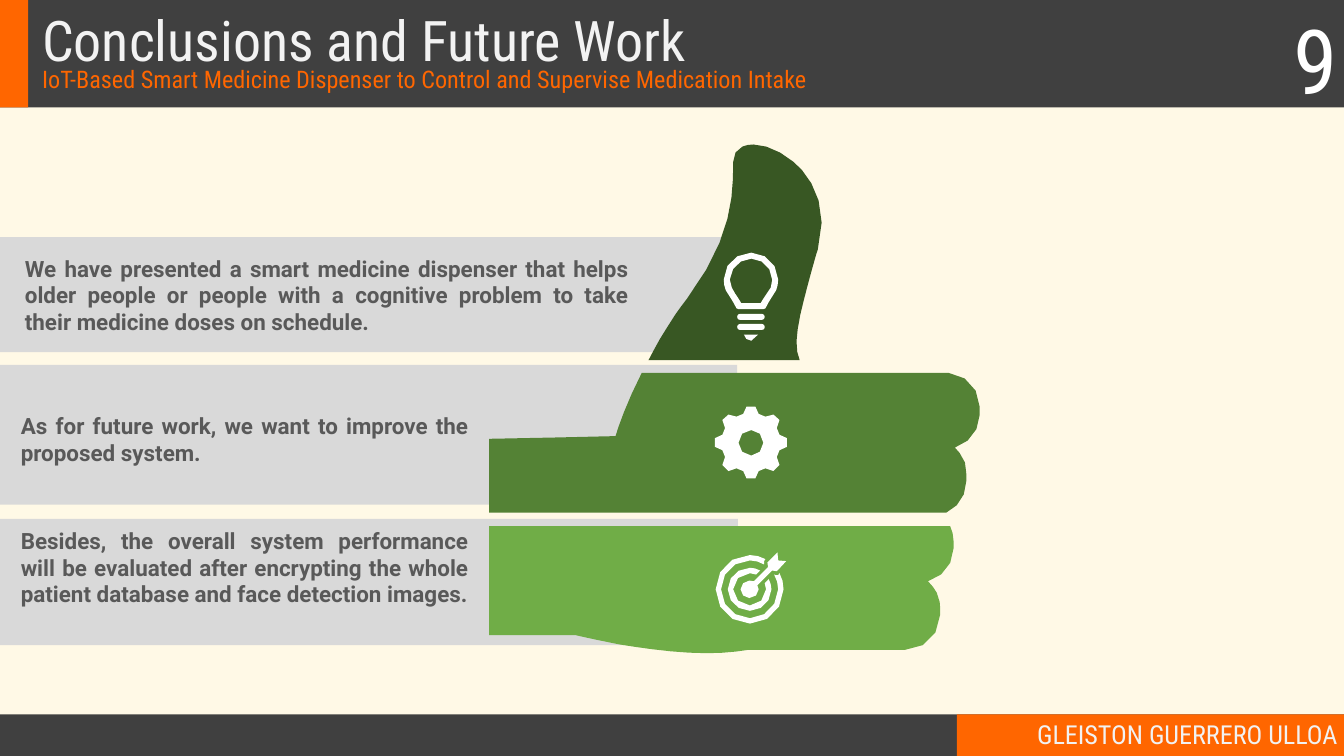
from dataclasses import dataclass
from math import dist, sqrt

from pptx import Presentation
from pptx.dml.color import RGBColor
from pptx.enum.shapes import MSO_SHAPE
from pptx.enum.text import MSO_ANCHOR, MSO_AUTO_SIZE, PP_ALIGN
from pptx.util import Inches, Pt


@dataclass(frozen=True)
class Theme:
    """Colours, fonts and type sizes of the slide."""
    cream: str = "FFF9E6"
    dark: str = "404040"
    orange: str = "FF6600"
    band: str = "D9D9D9"
    thumb: str = "385723"
    upper_fist: str = "548235"
    lower_fist: str = "70AD47"
    white: str = "FFFFFF"
    light: str = "F2F2F2"
    body: str = "595959"
    heading_font: str = "Roboto Condensed"
    body_font: str = "Roboto"
    title_size: float = 60
    subtitle_size: float = 25.9
    author_size: float = 28
    number_size: float = 96
    body_size: float = 24


THEME = Theme()
CURVE_DETAIL = 4

THUMB = ["11.9 5.36, 11.85 5.25 11.84 5.09 11.87 4.9, 11.91 4.68, 11.97 4.42 12.05 4.12 12.15 3.77,"
         "12.17 3.71, 12.37 2.99 11.99 2.56 11.81 2.41, 11.62 2.25 11.39 2.15 11.21 2.15,"
         "11.15 2.15 11.1 2.16 11.05 2.18, 10.96 2.22 10.91 2.3 10.91 2.41,"
         "10.91 2.88 10.91 3.53 10.22 4.45, 10.16 4.52 10.11 4.6 10.05 4.68, 9.91 4.9,"
         "9.81 5.05 9.73 5.21 9.65 5.36"]
UPPER_FIST = ["9.16 6.49, 8.29 6.51, 7.28 6.53, 7.28 7.63, 14.08 7.63,"
              "14.26 7.55 14.38 7.37 14.38 7.16, 14.38 7.05, 14.38 7.02 14.38 6.99 14.37 6.96,"
              "14.37 6.96 14.37 6.82 14.28 6.74, 14.26 6.71 14.23 6.68 14.21 6.66,"
              "14.42 6.6 14.58 6.4 14.58 6.17, 14.58 6.06, 14.58 5.79 14.38 5.57 14.12 5.55,"
              "9.55 5.55, 9.33 5.98 9.2 6.35 9.16 6.49"]
LOWER_FIST = ["7.28 7.83, 7.28 9.45, 8.56 9.45, 8.6 9.46 8.86 9.52 9.22 9.59,"
              "9.59 9.65 10.07 9.72 10.52 9.72, 10.75 9.72 10.96 9.7 11.14 9.67, 13.47 9.67,"
              "13.76 9.67 13.99 9.44 13.99 9.15, 13.99 9.04, 13.99 9.04 13.99 8.9 13.94 8.82,"
              "13.91 8.76 13.86 8.7 13.81 8.65, 14.03 8.59 14.19 8.39 14.19 8.16, 14.19 8.05,"
              "14.19 7.97 14.17 7.9 14.14 7.83"]
BULB_TIP = ["11.07 4.98, 11.08 5.03 11.12 5.07 11.18 5.07, 11.23 5.07 11.27 5.03 11.28 4.98"]
BULB_GLASS = ["11.18 3.76, 10.95 3.76 10.77 3.94 10.77 4.16, 10.77 4.22 10.78 4.27 10.8 4.32,"
              "10.81 4.36 10.84 4.4 10.87 4.43, 10.9 4.47 10.94 4.55 10.96 4.59,"
              "10.99 4.6, 11.36 4.6, 11.39 4.59,"
              "11.41 4.55 11.45 4.47 11.48 4.43, 11.51 4.4 11.54 4.36 11.55 4.32,"
              "11.57 4.27 11.58 4.22 11.58 4.16, 11.58 3.94 11.4 3.76 11.18 3.76",
              "11.49 4.17, 11.49 4.21 11.48 4.25 11.47 4.28, 11.45 4.31 11.44 4.34 11.41 4.37,"
              "11.38 4.41 11.35 4.46 11.32 4.51, 11.03 4.51, 11 4.46 10.97 4.41 10.94 4.37,"
              "10.92 4.34 10.9 4.31 10.89 4.28, 10.87 4.25 10.86 4.21 10.86 4.16,"
              "10.87 3.99 11.01 3.85 11.18 3.85, 11.35 3.85 11.49 3.99 11.49 4.16"]
GEAR = ["11.18 6.78, 11.07 6.78 10.99 6.69 10.99 6.59, 10.99 6.48 11.07 6.4 11.18 6.4,"
        "11.28 6.4 11.36 6.48 11.36 6.59, 11.36 6.69 11.28 6.78 11.18 6.78",
        "11.6 6.47, 11.56 6.37, 11.6 6.25, 11.51 6.17, 11.39 6.2, 11.29 6.16, 11.24 6.05,"
        "11.11 6.05, 11.06 6.16, 10.96 6.2, 10.84 6.17, 10.75 6.25, 10.79 6.37, 10.75 6.47,"
        "10.64 6.52, 10.64 6.65, 10.75 6.7, 10.79 6.8, 10.75 6.92, 10.84 7.01, 10.96 6.97,"
        "11.06 7.01, 11.11 7.12, 11.24 7.12, 11.29 7.01, 11.39 6.97, 11.51 7.01, 11.6 6.92,"
        "11.56 6.8, 11.6 6.7, 11.71 6.65, 11.71 6.52"]
ARROW = ["11.58 8.34, 11.57 8.22, 11.42 8.37, 11.43 8.44, 11.22 8.65, 11.2 8.64 11.18 8.64 11.15 8.64,"
         "11.08 8.64 11.02 8.7 11.02 8.77, 11.02 8.84 11.08 8.9 11.15 8.9,"
         "11.23 8.9 11.29 8.84 11.29 8.77, 11.29 8.75 11.28 8.73 11.27 8.71,"
         "11.49 8.49, 11.56 8.5, 11.7 8.35"]
OUTER_RING = ["11.59 8.54, 11.58 8.56, 11.55 8.56, 11.52 8.55, 11.56 8.62 11.58 8.69 11.58 8.77,"
              "11.58 9 11.39 9.2 11.16 9.2, 10.92 9.2 10.73 9 10.73 8.77,"
              "10.73 8.53 10.92 8.34 11.16 8.34, 11.23 8.34 11.31 8.36 11.37 8.4, 11.37 8.35,"
              "11.39 8.32, 11.32 8.28 11.24 8.26 11.16 8.26,"
              "10.87 8.26 10.65 8.49 10.65 8.77, 10.65 9.05 10.87 9.28 11.16 9.28,"
              "11.44 9.28 11.66 9.05 11.66 8.77, 11.66 8.68 11.64 8.6 11.6 8.53"]
INNER_RING = ["11.38 8.68, 11.39 8.71 11.4 8.74 11.4 8.77, 11.4 8.9 11.29 9.01 11.16 9.01,"
              "11.02 9.01 10.91 8.9 10.91 8.77, 10.91 8.64 11.02 8.53 11.16 8.53,"
              "11.19 8.53 11.22 8.54 11.25 8.55, 11.31 8.49, 11.26 8.46 11.21 8.45 11.16 8.45,"
              "10.98 8.45 10.83 8.59 10.83 8.77, 10.83 8.95 10.98 9.09 11.16 9.09,"
              "11.33 9.09 11.48 8.95 11.48 8.77, 11.48 8.71 11.46 8.66 11.44 8.62"]


def paint(shape, color):
    """Give a shape a flat fill without line or shadow."""
    shape.fill.solid()
    shape.fill.fore_color.rgb = RGBColor.from_string(color)
    shape.line.fill.background()
    shape.shadow.inherit = False


def add_block(shapes, bounds, color, kind=MSO_SHAPE.RECTANGLE):
    """Add a flat preset shape and return it."""
    block = shapes.add_shape(kind, *map(Inches, bounds))
    paint(block, color)
    return block


def trace(loop):
    """Turn line ends and Bezier triples into points, with more steps on longer curves."""
    points = []
    for segment in loop.split(","):
        values = [float(value) for value in segment.split()]
        if len(values) == 2:
            points.append(tuple(values))
            continue
        corners = [points[-1], *zip(values[::2], values[1::2])]
        steps = max(1, round(CURVE_DETAIL * sqrt(dist(corners[0], corners[-1]))))
        for step in range(1, steps + 1):
            t = step / steps
            weights = ((1 - t) ** 3, 3 * t * (1 - t) ** 2, 3 * t * t * (1 - t), t ** 3)
            points.append(tuple(sum(w * corner[axis] for w, corner in zip(weights, corners))
                                for axis in (0, 1)))
    return [(Inches(x), Inches(y)) for x, y in points]


def add_outline(shapes, loops, color):
    """Add one filled freeform made of closed loops."""
    traced = [trace(loop) for loop in loops]
    builder = shapes.build_freeform(*traced[0][0])
    for index, points in enumerate(traced):
        if index:
            builder.move_to(*points[0])
        builder.add_line_segments(points[1:], close=True)
    paint(builder.convert_to_shape(), color)


def add_text(page, bounds, text, size, color, align=PP_ALIGN.LEFT,
             anchor=MSO_ANCHOR.TOP, font=THEME.heading_font):
    """Add a one-paragraph text box and return it."""
    box = page.shapes.add_textbox(*map(Inches, bounds))
    frame = box.text_frame
    frame.word_wrap = True
    frame.vertical_anchor = anchor
    para = frame.paragraphs[0]
    para.text = text
    para.alignment = align
    para.font.name = font
    para.font.size = Pt(size)
    para.font.color.rgb = RGBColor.from_string(color)
    return box


def add_statement(page, bounds, text):
    """Add a bold justified statement."""
    frame = add_text(page, bounds, text, THEME.body_size, THEME.body,
                     PP_ALIGN.JUSTIFY, font=THEME.body_font).text_frame
    frame.margin_left = frame.margin_right = 0
    frame.auto_size = MSO_AUTO_SIZE.SHAPE_TO_FIT_TEXT
    frame.paragraphs[0].font.bold = True


def add_frame(page):
    """Add the header and footer with their texts."""
    for bounds, color in (((0, 10.63, 20, 0.62), THEME.dark), ((14.24, 10.63, 5.76, 0.62), THEME.orange),
                          ((0, 0, 20, 1.6), THEME.dark), ((0, 0, 0.42, 1.6), THEME.orange)):
        add_block(page.shapes, bounds, color)
    title = add_text(page, (0.53, 0.14, 19.3, 0.84), "Conclusions and Future Work",
                     THEME.title_size, THEME.light)
    title.text_frame.paragraphs[0].line_spacing = 0.9
    add_text(page, (13.25, 10.63, 6.75, 0.6), "GLEISTON GUERRERO ULLOA", THEME.author_size,
             THEME.light, PP_ALIGN.RIGHT, MSO_ANCHOR.MIDDLE)
    add_text(page, (15.5, 0, 4.5, 1.76), "9", THEME.number_size, THEME.white,
             PP_ALIGN.RIGHT, MSO_ANCHOR.MIDDLE)
    subtitle = add_text(page, (0.53, 0.99, 19.3, 0.49),
                        "IoT-Based Smart Medicine Dispenser to Control and Supervise Medication Intake",
                        THEME.subtitle_size, THEME.orange)
    subtitle.text_frame.paragraphs[0].line_spacing = 0.8
    subtitle.text_frame.paragraphs[0].space_before = Pt(15)


def add_icons(page):
    """Add the bulb, gear and target icons."""
    bulb = page.shapes.add_group_shape().shapes
    for top in (4.67, 4.82):
        bar = add_block(bulb, (10.97, top, 0.41, 0.09), THEME.white, MSO_SHAPE.ROUNDED_RECTANGLE)
        bar.adjustments[0] = 0.5
    for part in (BULB_TIP, BULB_GLASS):
        add_outline(bulb, part, THEME.white)
    add_outline(page.shapes, GEAR, THEME.white)
    target = page.shapes.add_group_shape().shapes
    for part in (ARROW, OUTER_RING, INNER_RING):
        add_outline(target, part, THEME.white)


def main():
    """Build the conclusions slide and save it."""
    deck = Presentation()
    deck.slide_width, deck.slide_height = Inches(20), Inches(11.25)
    page = deck.slides.add_slide(deck.slide_layouts[6])
    page.background.fill.solid()
    page.background.fill.fore_color.rgb = RGBColor.from_string(THEME.cream)
    add_frame(page)
    for bounds in ((0, 5.43, 10.97, 2.08), (0, 7.72, 10.98, 1.88), (0, 3.53, 11.28, 1.71)):
        add_block(page.shapes, bounds, THEME.band)
    for loops, color in ((UPPER_FIST, THEME.upper_fist), (LOWER_FIST, THEME.lower_fist),
                         (THUMB, THEME.thumb)):
        add_outline(page.shapes, loops, color)
    add_icons(page)
    add_statement(page, (0.31, 6.08, 6.66, 0.91),
                  "As for future work, we want to improve the proposed system.")
    add_statement(page, (0.31, 7.79, 6.66, 1.72),
                  "Besides, the overall system performance will be evaluated after encrypting "
                  "the whole patient database and face detection images.")
    add_statement(page, (0.37, 3.74, 8.98, 1.31),
                  "We have presented a smart medicine dispenser that helps older people or people "
                  "with a cognitive problem to take their medicine doses on schedule.")
    deck.save("out.pptx")


if __name__ == "__main__":
    main()
